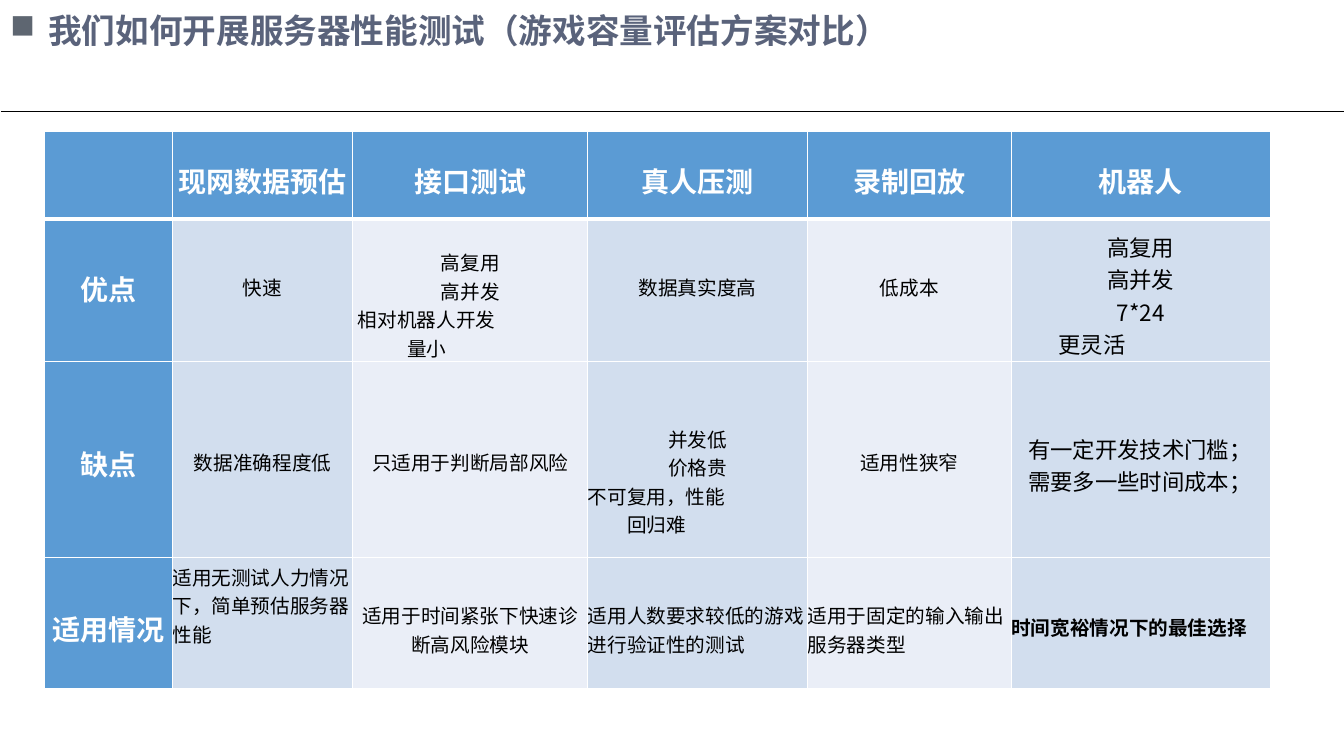
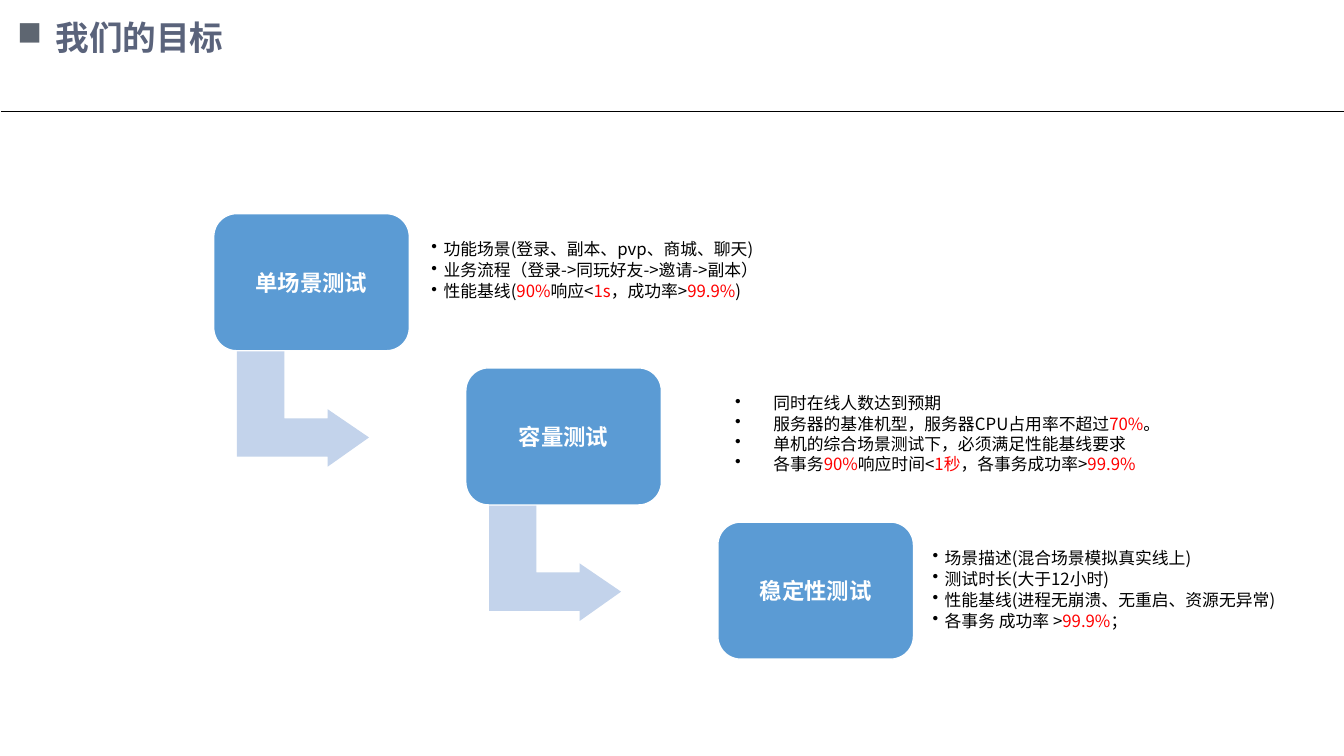
from lxml import etree
from pptx import Presentation
from pptx.dml.color import RGBColor
from pptx.enum.shapes import MSO_CONNECTOR, MSO_SHAPE
from pptx.enum.text import MSO_ANCHOR, PP_ALIGN
from pptx.oxml.ns import qn
from pptx.util import Inches, Pt

LEFT, CENTER = PP_ALIGN.LEFT, PP_ALIGN.CENTER
TOP, MIDDLE = MSO_ANCHOR.TOP, MSO_ANCHOR.MIDDLE
ROUNDED = MSO_SHAPE.ROUNDED_RECTANGLE
STRAIGHT = MSO_CONNECTOR.STRAIGHT

FONT = "Noto Sans CJK SC"
COLORS = {
    "title": "5A637B",
    "marker": "5E6671",
    "blue": "5B9BD4",
    "arrow": "C3D3EB",
    "band_dark": "D2DEEE",
    "band_light": "EAEEF7",
    "black": "000000",
    "white": "FFFFFF",
    "red": "FF0000",
}

COLUMNS = [1.27, 1.79, 2.33, 2.18, 2.02, 2.57]
ROWS = [0.87, 1.42, 1.94, 1.3]
HEADINGS = ["现网数据预估", "接口测试", "真人压测", "录制回放", "机器人"]
COMPARISON = [
    [
        (0.49, 20, ["优点"]),
        (0.54, 14, ["快速"]),
        (0.29, 14, ["高复用", "高并发", (0.05, "相对机器人开发"), (0.54, "量小")]),
        (0.54, 14, ["数据真实度高"]),
        (0.54, 14, ["低成本"]),
        (0.12, 16, ["高复用", "高并发", "7*24", (0.47, "更灵活")]),
    ],
    [
        (0.8, 20, ["缺点"]),
        (0.85, 14, ["数据准确程度低"]),
        (0.85, 14, ["只适用于判断局部风险"]),
        (0.62, 14, ["并发低", "价格贵", (0, "不可复用，性能"), (0.39, "回归难")]),
        (0.85, 14, ["适用性狭窄"]),
        (0.7, 16, [(0.17, "有一定开发技术门槛；"), (0.17, "需要多一些时间成本；")]),
    ],
    [
        (0.5, 20, ["适用情况"]),
        (0.05, 14, [(0, "适用无测试人力情况"), (0, "下，简单预估服务器"), (0, "性能")]),
        (0.43, 14, ["适用于时间紧张下快速诊", "断高风险模块"]),
        (0.43, 14, [(0, "适用人数要求较低的游戏"), (0, "进行验证性的测试")]),
        (0.43, 14, [(0, "适用于固定的输入输出"), (0, "服务器类型")]),
        (0.55, 14, [(0, "时间宽裕情况下的最佳选择")]),
    ],
]
BEST_CHOICE = (3, 5)

STEP_SIZE = (1.94, 1.36)
STEP_SHIFT = (2.5, 1.53)
ARROW_POINTS = [
    (0.7, 1.36), (0.23, 1.36), (0.23, 2.41), (1.13, 2.41), (1.13, 2.51),
    (1.54, 2.22), (1.13, 1.94), (1.13, 2.03), (0.7, 2.03),
]
# Text between bars is highlighted.
STEPS = [
    ("单场景测试", 2.14, 3.4, (0.14, 0.12), 0.7, [
        "功能场景(登录、副本、pvp、商城、聊天)",
        "业务流程（登录->同玩好友->邀请->副本）",
        "性能基线(|90%|响应<|1s|，成功率>|99.9%|)",
    ]),
    ("容量测试", 2.66, 4.25, (0.39, 0.38), 0, [
        "同时在线人数达到预期",
        "服务器的基准机型，服务器CPU占用率不超过|70%|。",
        "单机的综合场景测试下，必须满足性能基线要求",
        "各事务|90%|响应时间<|1秒|，各事务成功率>|99.9%",
    ]),
    ("稳定性测试", 2.11, 3.43, (0.14, 0.12), 0.7, [
        "场景描述(混合场景模拟真实线上)",
        "测试时长(大于12小时)",
        "性能基线(进程无崩溃、无重启、资源无异常)",
        "各事务 成功率 >|99.9%|；",
    ]),
]


def rgb(name):
    """Return a palette colour."""
    return RGBColor.from_string(COLORS[name])


def style(paragraph, size, color, bold=False, align=LEFT):
    """Set the font and alignment of a paragraph."""
    paragraph.alignment = align
    font = paragraph.font
    font.name, font.size, font.bold = FONT, Pt(size), bold
    font.color.rgb = rgb(color)
    defaults = paragraph._p.get_or_add_pPr().find(qn("a:defRPr"))
    etree.SubElement(defaults, qn("a:ea"), typeface=FONT)


def indent(paragraph, left, hanging=0):
    """Set the left margin and hanging indent in inches."""
    properties = paragraph._p.get_or_add_pPr()
    properties.set("marL", str(Inches(left)))
    properties.set("indent", str(-Inches(hanging)))
    return properties


def bullet(paragraph, symbol, left, hanging, color):
    """Give a paragraph a hanging bullet."""
    properties = indent(paragraph, left, hanging)
    tint = etree.SubElement(properties, qn("a:buClr"))
    etree.SubElement(tint, qn("a:srgbClr"), val=COLORS[color])
    etree.SubElement(properties, qn("a:buChar"), char=symbol)


def paragraphs(frame, count):
    """Yield the given number of paragraphs of a text frame."""
    for index in range(count):
        yield frame.add_paragraph() if index else frame.paragraphs[0]


def text_frame(slide, left, top, width, height, inset=0.01):
    """Add a wrapping text box and return its frame."""
    frame = slide.shapes.add_textbox(
        Inches(left), Inches(top), Inches(width), Inches(height)).text_frame
    frame.word_wrap = True
    frame.margin_left = frame.margin_right = frame.margin_bottom = 0
    frame.margin_top = Inches(inset)
    return frame


def titled_slide(deck, title, left, top, width):
    """Add a blank slide with the rule and a marked title."""
    slide = deck.slides.add_slide(deck.slide_layouts[6])
    rule = slide.shapes.add_connector(
        STRAIGHT, Inches(0.01), Inches(1.11), Inches(13.33), Inches(1.11))
    rule.line.color.rgb = rgb("black")
    rule.line.width = Pt(0.75)
    etree.SubElement(rule._element.spPr, qn("a:effectLst"))
    heading = text_frame(slide, left, top, width, 0.43, 0.04).paragraphs[0]
    heading.text = title
    heading.line_spacing = Pt(28.8)
    bullet(heading, "■", 0.39, 0.38, "marker")
    style(heading, 24, "title", True)
    return slide


def border(cell, widths):
    """Draw white cell borders: left, right, top, bottom."""
    properties = cell._tc.get_or_add_tcPr()
    for index, (side, width) in enumerate(zip("LRTB", widths)):
        line = etree.Element(qn(f"a:ln{side}"), w=str(Pt(width)))
        fill = etree.SubElement(line, qn("a:solidFill"))
        etree.SubElement(fill, qn("a:srgbClr"), val=COLORS["white"])
        properties.insert(index, line)


def fill_cell(cell, row, column, top, size, lines):
    """Write and colour one cell of the comparison."""
    label = row == 0 or column == 0
    band = "blue" if label else "band_dark" if column % 2 else "band_light"
    cell.fill.solid()
    cell.fill.fore_color.rgb = rgb(band)
    border(cell, (1, 1, 3 if row == 1 else 1, 3 if row == 0 else 1))
    cell.vertical_anchor = TOP
    cell.margin_left = cell.margin_right = cell.margin_bottom = 0
    cell.margin_top = Inches(top)
    bold = label or (row, column) == BEST_CHOICE
    for paragraph, line in zip(paragraphs(cell.text_frame, len(lines)), lines):
        centered = isinstance(line, str)
        offset, paragraph.text = (0, line) if centered else line
        indent(paragraph, offset)
        style(paragraph, size, "white" if label else "black", bold,
              CENTER if centered else LEFT)


def comparison_table(slide, left, top):
    """Add the table that compares the assessment methods."""
    table = slide.shapes.add_table(
        len(ROWS), len(COLUMNS), Inches(left), Inches(top),
        Inches(sum(COLUMNS)), Inches(sum(ROWS))).table
    for column, width in zip(table.columns, COLUMNS):
        column.width = Inches(width)
    for row, height in zip(table.rows, ROWS):
        row.height = Inches(height)
    header = [(0.29, 20, [text]) for text in ["", *HEADINGS]]
    for r, contents in enumerate([header, *COMPARISON]):
        for c, content in enumerate(contents):
            fill_cell(table.cell(r, c), r, c, *content)


def step_arrow(slide, left, top):
    """Add the bent arrow that leads from a step to the next."""
    points = [(Inches(left + x), Inches(top + y)) for x, y in ARROW_POINTS]
    builder = slide.shapes.build_freeform(*points[0])
    builder.add_line_segments(points[1:], close=True)
    arrow = builder.convert_to_shape()
    arrow.shadow.inherit = False
    arrow.fill.solid()
    arrow.fill.fore_color.rgb = rgb("arrow")
    arrow.line.fill.background()


def step_box(slide, left, top, name):
    """Add the rounded box that names a step."""
    width, height = STEP_SIZE
    box = slide.shapes.add_shape(
        ROUNDED, Inches(left), Inches(top), Inches(width), Inches(height))
    box.shadow.inherit = False
    box.fill.solid()
    box.fill.fore_color.rgb = rgb("blue")
    box.line.color.rgb = rgb("white")
    box.line.width = Pt(1)
    box.text_frame.vertical_anchor = MIDDLE
    label = box.text_frame.paragraphs[0]
    label.text = name
    style(label, 16, "white", True, CENTER)


def step_goals(slide, left, top, width, hang, gap, goals):
    """Add the bulleted goals of a step with highlighted figures."""
    frame = text_frame(slide, left, top, width, 0.85)
    for index, paragraph in enumerate(paragraphs(frame, len(goals))):
        bullet(paragraph, "•", *hang, "black")
        style(paragraph, 12, "black")
        paragraph.line_spacing = Pt(14.4)
        paragraph.space_before = Pt(gap if index else 0)
        for part, text in enumerate(goals[index].split("|")):
            if text:
                run = paragraph.add_run()
                run.text = text
                if part % 2:
                    run.font.color.rgb = rgb("red")


def goal_cascade(slide, left, top):
    """Add the descending steps, each with its goals."""
    for index, (name, offset, width, hang, gap, goals) in enumerate(STEPS):
        x, y = left + index * STEP_SHIFT[0], top + index * STEP_SHIFT[1]
        if index < len(STEPS) - 1:
            step_arrow(slide, x, y)
        step_box(slide, x, y, name)
        step_goals(slide, x + offset, y + 0.24, width, hang, gap, goals)


def main():
    """Build and save the presentation."""
    deck = Presentation()
    deck.slide_width, deck.slide_height = Inches(13.33), Inches(7.5)
    methods = titled_slide(
        deck, "我们如何开展服务器性能测试（游戏容量评估方案对比）", 0.09, 0.06, 9)
    comparison_table(methods, 0.44, 1.3)
    targets = titled_slide(deck, "我们的目标", 0.16, 0.13, 2.4)
    goal_cascade(targets, 2.12, 2.12)
    deck.save("out.pptx")


if __name__ == "__main__":
    main()
